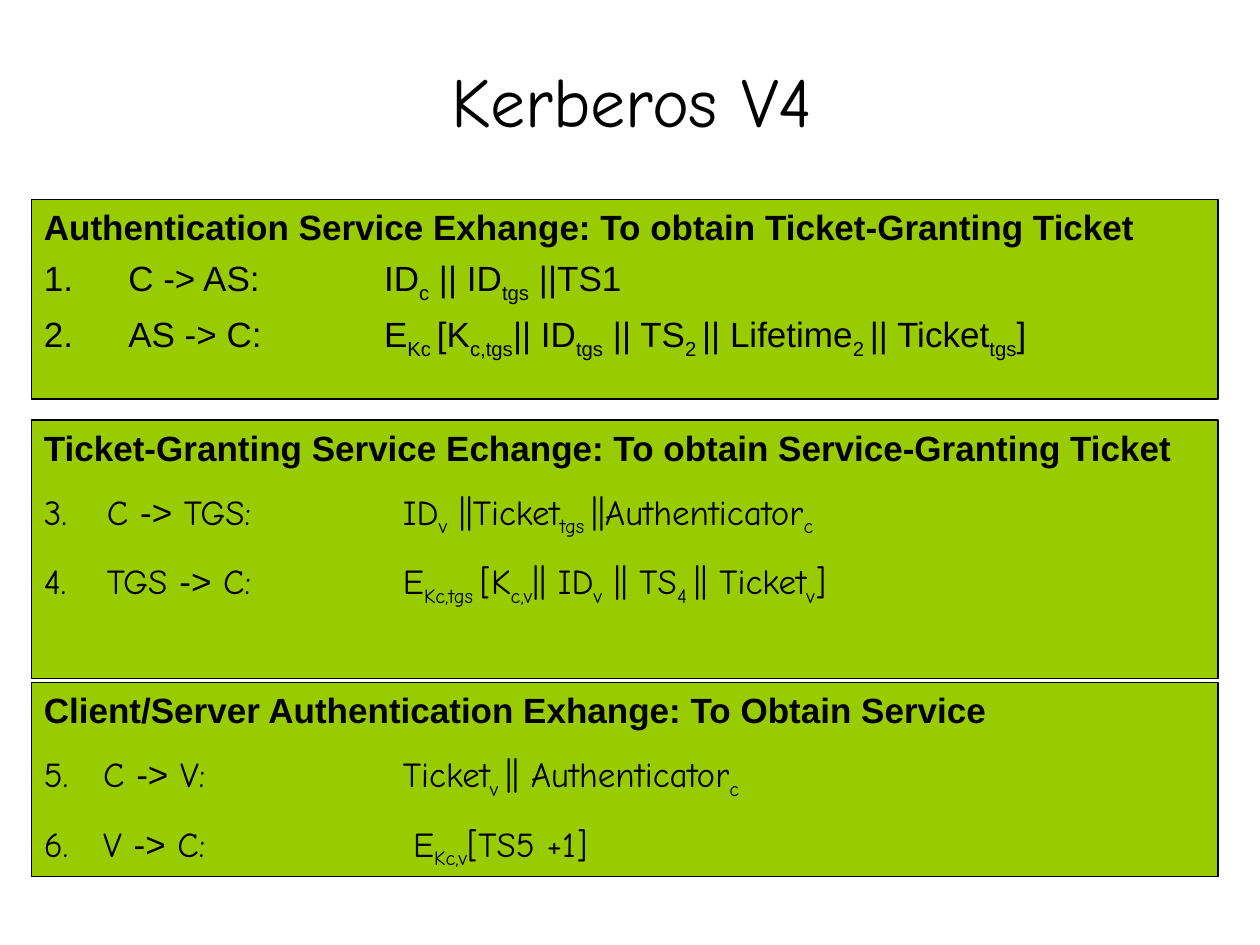
from lxml import etree
from pptx import Presentation
from pptx import util as u
from pptx.dml.color import RGBColor
from pptx.enum import shapes, text
from pptx.oxml.ns import qn

GREEN = RGBColor(0x99, 0xCC, 0x00)
BLACK = RGBColor(0, 0, 0)
SANS, HAND = "Arial", "Comic Neue"
UNIT = u.Inches(1) // 12  # the grid has twelve cells to the inch

# Steps are (sides, tab in inches, message); text between ~ marks is subscript.
BOXES = [
    dict(top=19, rows=19, font=SANS, gap=5, dent=0.67, start=1,
         head="Authentication Service Exhange: To obtain Ticket-Granting Ticket",
         steps=[("C -> AS:", 2.7, "ID~c~ || ID~tgs~ ||TS1"),
                ("AS -> C:", 2.7, "E~Kc ~[K~c,tgs~|| ID~tgs~ || TS~2 ~"
                                  "|| Lifetime~2 ~|| Ticket~tgs~]")]),
    dict(top=40, rows=24.6, font=HAND, gap=12.5, dent=0.5, start=3,
         head="Ticket-Granting Service Echange: To obtain Service-Granting Ticket",
         steps=[("C -> TGS:", 2.85, "ID~v~ ||Ticket~tgs ~||Authenticator~c~"),
                ("TGS -> C:", 2.85, "E~Kc,tgs ~[K~c,v~|| ID~v~ || TS~4 ~"
                                    "|| Ticket~v~]")]),
    dict(top=65, rows=18.5, font=HAND, gap=12.5, dent=0.47, start=5,
         head="Client/Server Authentication Exhange: To Obtain Service",
         steps=[("C -> V:", 2.85, "Ticket~v ~|| Authenticator~c~"),
                ("V -> C:", 2.93, "E~Kc,v~[TS5 +1]")]),
]


def cells(*counts):
    return [int(n * UNIT) for n in counts]


def write(para, words, font=SANS, size=20, bold=False, sub=False):
    run = para.add_run()
    run.text = words
    run.font.name, run.font.size, run.font.bold = font, u.Pt(size), bold
    run.font.color.rgb = BLACK
    if sub:
        run.font._element.set("baseline", "-25000")


def number(para, font, start, dent, tab):
    """Give a paragraph automatic numbering, a hanging indent and one tab."""
    props = para._p.get_or_add_pPr()
    props.set("marL", str(u.Inches(dent)))
    props.set("indent", str(-u.Inches(dent)))
    tint = etree.SubElement(props, qn("a:buClr"))
    etree.SubElement(tint, qn("a:srgbClr"), val=str(BLACK))
    etree.SubElement(props, qn("a:buFont"), typeface=font)
    etree.SubElement(props, qn("a:buAutoNum"), type="arabicPeriod",
                     startAt=str(start))
    stops = etree.SubElement(props, qn("a:tabLst"))
    etree.SubElement(stops, qn("a:tab"), pos=str(u.Inches(tab)), algn="l")


def step(para, sides, tab, message, font, start, dent, gap):
    number(para, font, start, dent, tab)
    para.space_before = u.Pt(gap)
    left, arrow, right = sides.partition("->")
    write(para, left, font)
    write(para, arrow)
    write(para, right + "\t", font)
    for i, part in enumerate(message.split("~")):
        if part:
            write(para, part, font, sub=i % 2 == 1)


def panel(slide, top, rows, head, steps, **style):
    box = slide.shapes.add_shape(shapes.MSO_SHAPE.RECTANGLE,
                                 *cells(3, top, 113, rows))
    box.shadow.inherit = False
    box.fill.solid()
    box.fill.fore_color.rgb = GREEN
    box.line.color.rgb = BLACK
    box.line.width = u.Pt(0.75)
    frame = box.text_frame
    frame.word_wrap = True
    frame.vertical_anchor = text.MSO_ANCHOR.TOP
    write(frame.paragraphs[0], head, bold=True)
    for sides, tab, message in steps:
        step(frame.add_paragraph(), sides, tab, message, **style)
    for para in frame.paragraphs:
        para.alignment = text.PP_ALIGN.LEFT


def title(slide, words):
    box = slide.shapes.title
    box.left, box.top, box.width, box.height = cells(9.2, 2.2, 102, 14.6)
    box.text_frame.vertical_anchor = text.MSO_ANCHOR.MIDDLE
    para = box.text_frame.paragraphs[0]
    para.alignment = text.PP_ALIGN.CENTER
    write(para, words, HAND, 40)


def main():
    deck = Presentation()
    deck.slide_width, deck.slide_height = cells(120, 90)
    slide = deck.slides.add_slide(deck.slide_layouts[5])
    title(slide, "Kerberos V4")
    for box in BOXES:
        panel(slide, **box)
    deck.save("out.pptx")


if __name__ == "__main__":
    main()
